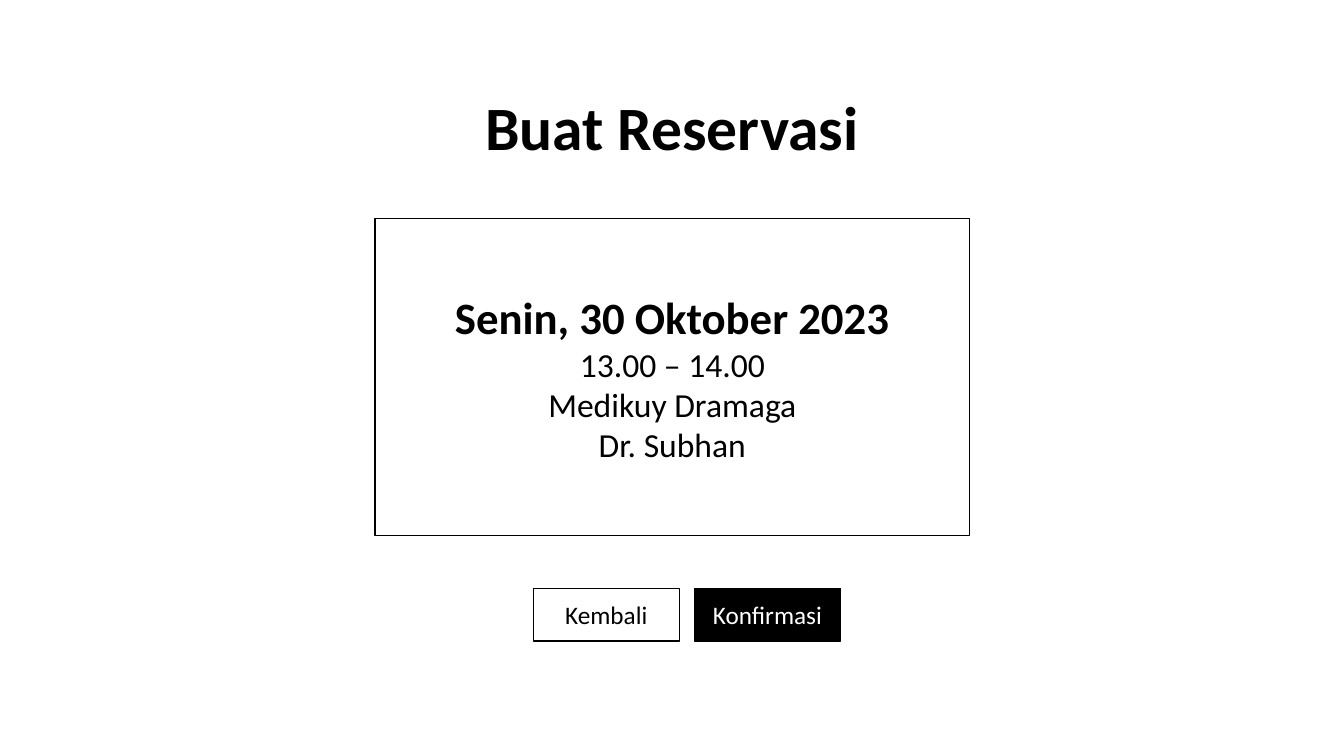
import pptx
import pptx.dml.color
import pptx.enum.shapes
import pptx.enum.text
import pptx.util
from pptx.util import Cm

BLACK = "000000"
WHITE = "FFFFFF"


def color(code):
    return pptx.dml.color.RGBColor.from_string(code)


def write(frame, lines, ink):
    """Fill a frame with centred lines of (text, size, bold)."""
    frame.word_wrap = True
    for i, (text, size, bold) in enumerate(lines):
        para = frame.paragraphs[0] if i == 0 else frame.add_paragraph()
        para.alignment = pptx.enum.text.PP_ALIGN.CENTER
        run = para.add_run()
        run.text = text
        run.font.name = "Calibri"
        run.font.size = pptx.util.Pt(size)
        run.font.bold = bold
        run.font.color.rgb = color(ink)


def add_title(slide, left, top, width, height, text):
    box = slide.shapes.add_textbox(Cm(left), Cm(top), Cm(width), Cm(height))
    write(box.text_frame, [(text, 44, True)], BLACK)


def add_panel(slide, left, top, width, height, lines, fill=WHITE, ink=BLACK):
    panel = slide.shapes.add_shape(
        pptx.enum.shapes.MSO_SHAPE.RECTANGLE,
        Cm(left), Cm(top), Cm(width), Cm(height))
    panel.shadow.inherit = False
    panel.fill.solid()
    panel.fill.fore_color.rgb = color(fill)
    panel.line.color.rgb = color(BLACK)
    panel.line.width = pptx.util.Pt(1)
    panel.text_frame.vertical_anchor = pptx.enum.text.MSO_ANCHOR.MIDDLE
    write(panel.text_frame, lines, ink)


def main():
    deck = pptx.Presentation()
    deck.slide_width = Cm(33.87)
    deck.slide_height = Cm(19.05)
    slide = deck.slides.add_slide(deck.slide_layouts[6])

    # Heading
    add_title(slide, 11.25, 2.11, 11.38, 2.13, "Buat Reservasi")

    # Booking details
    add_panel(slide, 9.45, 5.51, 14.99, 7.98, [
        ("Senin, 30 Oktober 2023", 32, True),
        ("13.00 – 14.00", 24, False),
        ("Medikuy Dramaga", 24, False),
        ("Dr. Subhan", 24, False),
    ])

    # Buttons, evenly spaced
    buttons = [("Kembali", WHITE, BLACK), ("Konfirmasi", BLACK, WHITE)]
    for i, (label, fill, ink) in enumerate(buttons):
        add_panel(slide, 13.44 + i * 4.06, 14.83, 3.68, 1.32,
                  [(label, 18, False)], fill, ink)

    deck.save("out.pptx")


if __name__ == "__main__":
    main()
